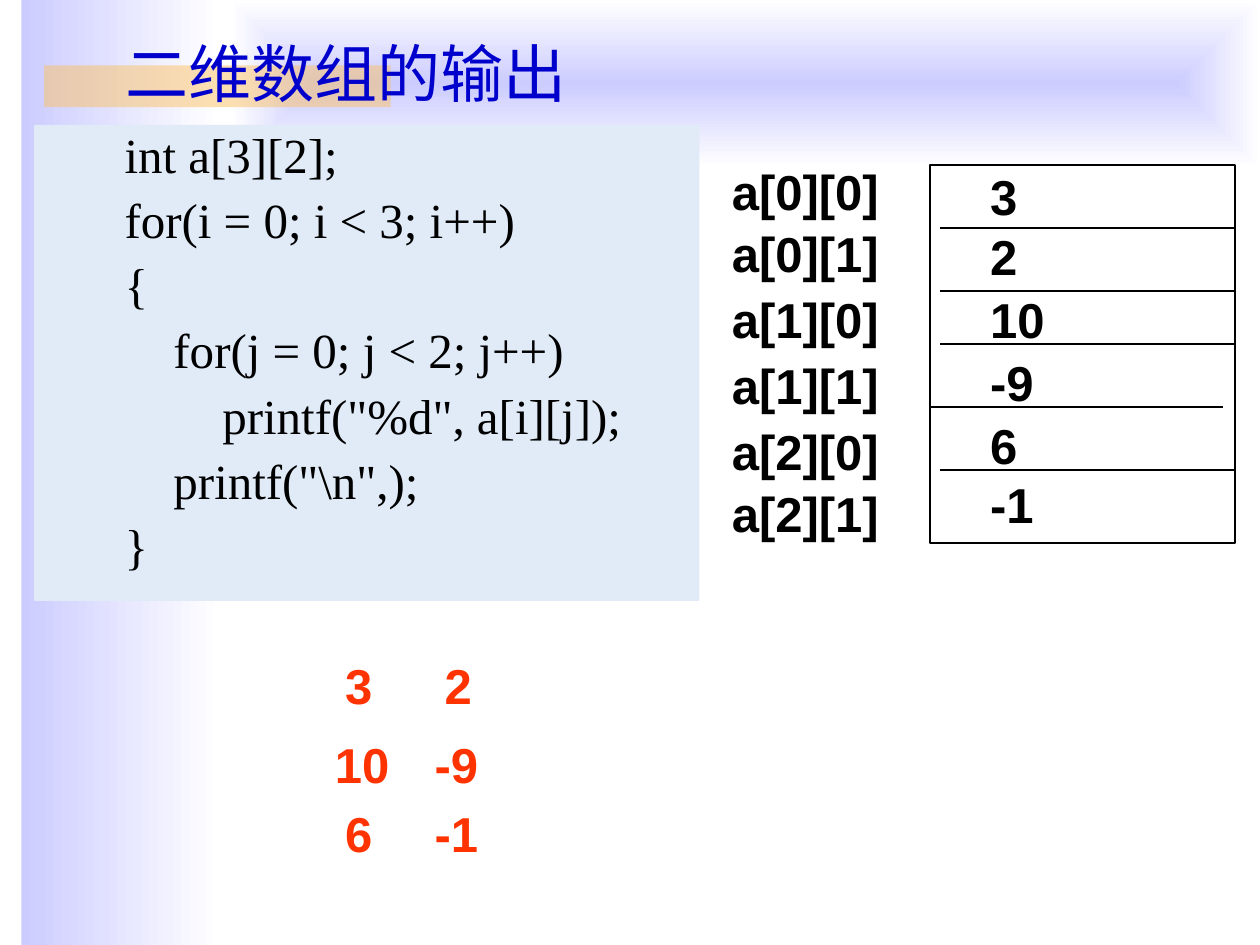
from dataclasses import dataclass

from lxml import etree
from pptx import Presentation
from pptx import util as u
from pptx.dml.color import RGBColor
from pptx.enum import shapes, text
from pptx.oxml import ns


@dataclass(frozen=True)
class Theme:
    tint: str = "CCCCFF"
    paper: str = "FFFFFF"
    accent: str = "FAC164"
    title: str = "0000CC"
    panel: str = "E1EBF7"
    ink: str = "000000"
    result: str = "FF3300"
    serif: str = "Times New Roman"
    sans: str = "Arial"
    title_size: int = 36
    body_size: int = 28


THEME = Theme()

CODE = """int a[3][2];
for(i = 0; i < 3; i++)
{
    for(j = 0; j < 2; j++)
        printf("%d", a[i][j]);
    printf("\\n",);
}""".split("\n")
MATRIX = [["3", "2"], ["10", "-9"], ["6", "-1"]]


def rgb(value):
    return RGBColor.from_string(value)


def inches(*lengths):
    return [u.Inches(length) for length in lengths]


def add_rect(page, place, color=None):
    box = page.shapes.add_shape(shapes.MSO_SHAPE.RECTANGLE, *inches(*place))
    box.shadow.inherit = False
    box.line.fill.background()
    if color:
        box.fill.solid()
        box.fill.fore_color.rgb = rgb(color)
    else:
        box.fill.background()
    return box


def add_fade(page, place, from_centre=False):
    """Add a rectangle fading to white, rightwards or out from its centre."""
    box = add_rect(page, place)
    box.fill.gradient()
    box.fill.gradient_angle = 0
    for stop, color in zip(box.fill.gradient_stops, (THEME.tint, THEME.paper)):
        stop.color.rgb = rgb(color)
    if from_centre:
        linear = box._element.spPr.find(".//" + ns.qn("a:lin"))
        gradient = linear.getparent()
        gradient.remove(linear)
        route = etree.SubElement(gradient, ns.qn("a:path"), {"path": "rect"})
        etree.SubElement(route, ns.qn("a:fillToRect"), dict.fromkeys("ltrb", "50000"))


def add_accent_bar(page):
    bar = add_rect(page, (0.35, 0.52, 2.75, 0.33), THEME.accent)
    color = bar._element.spPr.find(".//" + ns.qn("a:srgbClr"))
    etree.SubElement(color, ns.qn("a:alpha"), {"val": "50000"})


def write_lines(box, lines, font, size, color, bold=False,
                align=text.PP_ALIGN.LEFT, spacing=1.0):
    """Fill the box with one paragraph per line and return the paragraphs."""
    frame = box.text_frame
    frame.word_wrap = True
    for number, line in enumerate(lines):
        para = frame.add_paragraph() if number else frame.paragraphs[0]
        para.text = line
        para.alignment = align
        para.line_spacing = spacing
        para.font.name = font
        para.font.size = u.Pt(size)
        para.font.bold = bold
        para.font.color.rgb = rgb(color)
    return frame.paragraphs


def add_title(page, words):
    box = page.shapes.add_textbox(*inches(0.9, 0.21, 6.47, 0.71))
    box.text_frame.vertical_anchor = text.MSO_ANCHOR.BOTTOM
    write_lines(box, [words], THEME.serif, THEME.title_size, THEME.title)


def add_code(page):
    panel = add_rect(page, (0.27, 0.99, 5.28, 3.78), THEME.panel)
    panel.text_frame.vertical_anchor = text.MSO_ANCHOR.TOP
    paras = write_lines(panel, CODE, THEME.serif, THEME.body_size, THEME.ink, spacing=0.9)
    for number, para in enumerate(paras):
        props = para._p.get_or_add_pPr()
        props.set("marL", str(u.Inches(1.12)))
        props.set("indent", str(u.Inches(-0.5)))
        if number:
            para.space_before = u.Pt(7)


def add_sans_text(page, place, lines, color, spacing=1.0):
    box = page.shapes.add_textbox(*inches(*place))
    paras = write_lines(box, lines, THEME.sans, THEME.body_size, color, True,
                        text.PP_ALIGN.JUSTIFY, spacing)
    for para in paras[1:-1]:
        para.space_before = para.space_after = u.Pt(2)


def add_output(page):
    """Show the printed matrix; one-character values sit slightly further right."""
    for top, row in zip((5.15, 5.78, 6.33), MATRIX):
        for left, value in zip((2.56, 3.35), row):
            shift = 0.08 if len(value) == 1 else 0
            add_sans_text(page, (left + shift, top, 0.71, 0.57), [value], THEME.result)


def add_divider(page, left, right, top):
    line = page.shapes.add_connector(
        shapes.MSO_CONNECTOR.STRAIGHT, *inches(left, top, right, top))
    line.line.color.rgb = rgb(THEME.ink)
    line.line.width = u.Pt(1)
    etree.SubElement(line._element.spPr, ns.qn("a:effectLst"))


def add_memory(page):
    """Draw the array elements in storage order beside their names."""
    names = [f"a[{i}][{j}]" for i, row in enumerate(MATRIX) for j in range(len(row))]
    values = [value for row in MATRIX for value in row]
    add_sans_text(page, (5.71, 1.23, 1.42, 3.23), names, THEME.ink)
    frame = add_rect(page, (7.38, 1.31, 2.42, 3))
    frame.line.color.rgb = rgb(THEME.ink)
    frame.line.width = u.Pt(1)
    for top in (1.81, 2.31, 2.73, 3.73):
        add_divider(page, 7.46, 9.8, top)
    add_divider(page, 7.38, 9.71, 3.23)
    add_sans_text(page, (7.76, 1.31, 1.42, 3.15), values, THEME.ink, spacing=0.95)


def main():
    deck = Presentation()
    deck.slide_width, deck.slide_height = inches(10, 7.5)
    page = deck.slides.add_slide(deck.slide_layouts[6])
    add_fade(page, (0.17, 0, 1.58, 7.5))
    add_fade(page, (1.83, 0, 8.17, 1.33), from_centre=True)
    add_accent_bar(page)
    add_title(page, "二维数组的输出")
    add_code(page)
    add_output(page)
    add_memory(page)
    deck.save("out.pptx")


if __name__ == "__main__":
    main()
